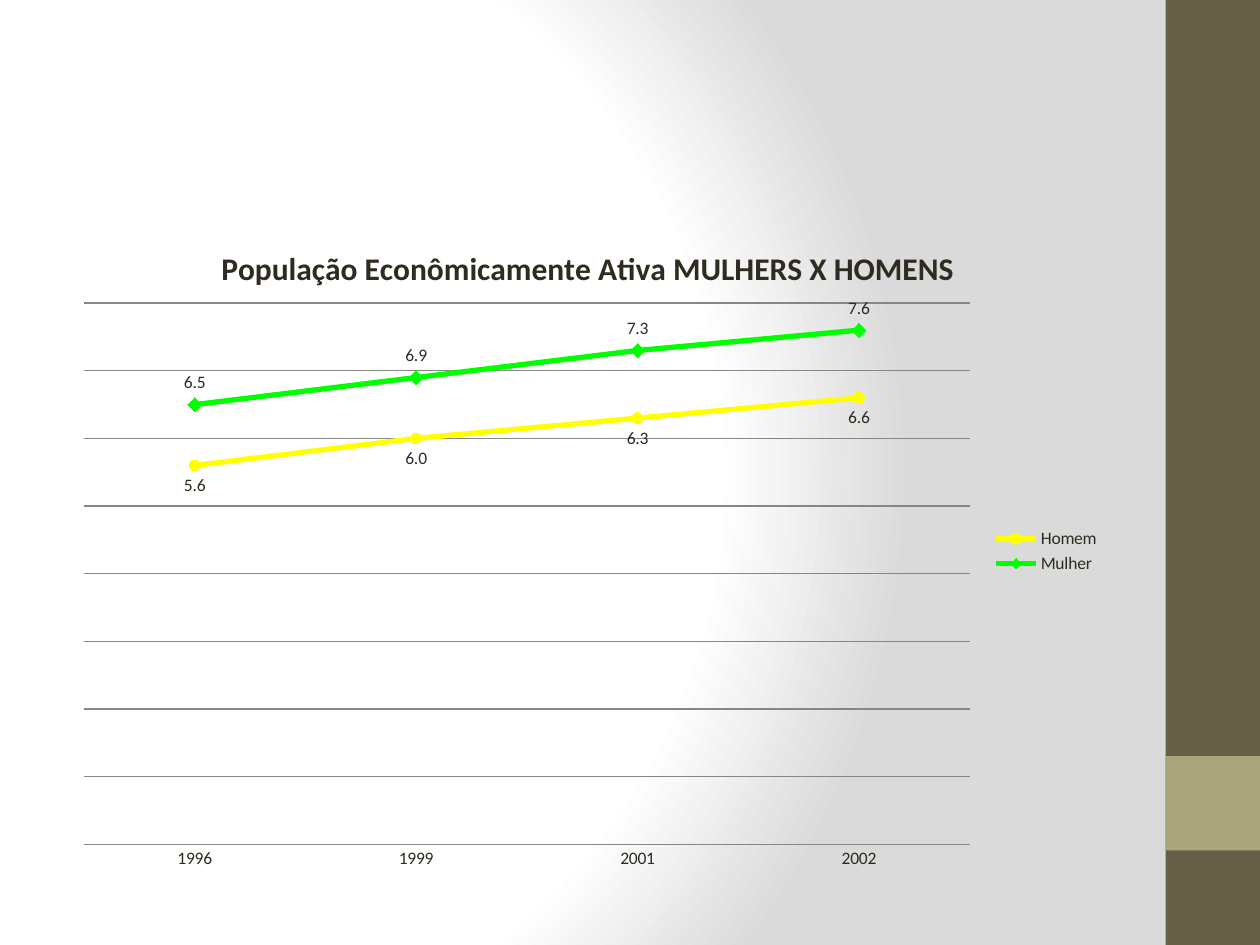
from lxml.etree import SubElement
from pptx import Presentation
from pptx.chart.data import CategoryChartData
from pptx.dml.color import RGBColor
from pptx.enum.chart import XL_CHART_TYPE, XL_LABEL_POSITION, XL_LEGEND_POSITION, XL_MARKER_STYLE, XL_TICK_MARK
from pptx.enum.shapes import MSO_SHAPE
from pptx.oxml.ns import qn
from pptx.util import Inches, Pt


def color(hex_string):
    """Turn a hex string into a colour."""
    return RGBColor.from_string(hex_string)


class SlideBuilder:
    """Hold the style and the current slide."""

    font = "Calibri"
    ink = "2F2B20"
    grid = "868686"

    def __init__(self, slide):
        """Keep the slide to build on."""
        self.slide = slide

    def background(self, stops, focus):
        """Fill the background with a circular gradient."""
        self.slide.background.fill.gradient()
        gradient = next(self.slide._element.iter(qn("a:gradFill")))
        for child in list(gradient):
            gradient.remove(child)
        stop_list = SubElement(gradient, qn("a:gsLst"))
        for percent, hex_string in stops:
            stop = SubElement(stop_list, qn("a:gs"), pos=str(percent * 1000))
            SubElement(stop, qn("a:srgbClr"), val=hex_string)
        circle = SubElement(gradient, qn("a:path"), path="circle")
        edges = {side: str(percent * 1000) for side, percent in zip("ltrb", focus)}
        SubElement(circle, qn("a:fillToRect"), edges)

    def band(self, left, top, width, height, fill):
        """Add a plain rectangle."""
        band = self.slide.shapes.add_shape(
            MSO_SHAPE.RECTANGLE, Inches(left), Inches(top), Inches(width), Inches(height))
        band.shadow.inherit = False
        band.fill.solid()
        band.fill.fore_color.rgb = color(fill)
        band.line.fill.background()

    def style_line(self, line, hex_string, width):
        """Set the colour and width of a line."""
        line.color.rgb = color(hex_string)
        line.width = Pt(width)

    def style_font(self, font, size, bold=False):
        """Apply the slide's type style."""
        font.name = self.font
        font.size = Pt(size)
        font.bold = bold
        font.color.rgb = color(self.ink)

    def style_series(self, series, hex_string, marker, size, position):
        """Format one line with its markers and labels."""
        series.smooth = False
        self.style_line(series.format.line, hex_string, 3)
        series.marker.style = marker
        series.marker.size = size
        series.marker.format.fill.solid()
        series.marker.format.fill.fore_color.rgb = color(hex_string)
        self.style_line(series.marker.format.line, hex_string, 0.75)
        labels = series.data_labels
        labels.show_value = True
        labels.number_format = "0.0"
        labels.number_format_is_linked = False
        labels.position = position
        self.style_font(labels.font, 10)

    def place_plot(self, chart, x, y, w, h):
        """Fix the inner plot area as fractions of the chart."""
        plot_area = chart._chartSpace.chart.plotArea
        for old in plot_area.findall(qn("c:layout")):
            plot_area.remove(old)
        layout = plot_area.makeelement(qn("c:layout"))
        plot_area.insert(0, layout)
        manual = SubElement(layout, qn("c:manualLayout"))
        settings = {"layoutTarget": "inner", "xMode": "edge", "yMode": "edge",
                    "x": x, "y": y, "w": w, "h": h}
        for name, value in settings.items():
            SubElement(manual, qn(f"c:{name}"), val=str(value))

    def line_chart(self, left, top, width, height, title, years, groups):
        """Add a titled line chart with a legend on the right."""
        data = CategoryChartData(number_format="0.0")
        data.categories = years
        for name, values, *_ in groups:
            data.add_series(name, values)
        chart = self.slide.shapes.add_chart(
            XL_CHART_TYPE.LINE_MARKERS, Inches(left), Inches(top),
            Inches(width), Inches(height), data).chart
        self.style_font(chart.font, 10)

        chart.has_title = True
        heading = chart.chart_title.text_frame.paragraphs[0].add_run()
        heading.text = title
        self.style_font(heading.font, 18, bold=True)
        chart.chart_title.include_in_layout = False

        chart.has_legend = True
        chart.legend.position = XL_LEGEND_POSITION.RIGHT
        chart.legend.include_in_layout = False
        self.style_font(chart.legend.font, 10)

        chart.category_axis.major_tick_mark = XL_TICK_MARK.NONE
        self.style_line(chart.category_axis.format.line, self.grid, 0.75)
        scale = chart.value_axis
        scale.minimum_scale, scale.maximum_scale, scale.major_unit = 0, 8, 1
        scale.has_major_gridlines = True
        self.style_line(scale.major_gridlines.format.line, self.grid, 0.75)
        scale.visible = False

        chart.plots[0].vary_by_categories = False
        for series, (_, _, *style) in zip(chart.plots[0].series, groups):
            self.style_series(series, *style)
        self.place_plot(chart, 0.02, 0.125, 0.844, 0.818)


def main():
    """Build the slide and save it."""
    deck = Presentation()
    deck.slide_width, deck.slide_height = Inches(10), Inches(7.5)
    builder = SlideBuilder(deck.slides.add_slide(deck.slide_layouts[6]))
    builder.background([(0, "FFFFFF"), (75, "FFFFFF"), (100, "DADADA")], (20, 50, 100, 50))
    builder.band(9.25, 0, 0.75, 7.5, "675E47")
    builder.band(9.25, 6, 0.75, 0.75, "A9A57C")
    builder.line_chart(
        0.5, 1.75, 8.33, 5.25,
        "População Econômicamente Ativa MULHERS X HOMENS",
        ["1996", "1999", "2001", "2002"],
        [("Homem", (5.6, 6.0, 6.3, 6.6), "FFFF00",
          XL_MARKER_STYLE.CIRCLE, 6, XL_LABEL_POSITION.BELOW),
         ("Mulher", (6.5, 6.9, 7.3, 7.6), "00FF00",
          XL_MARKER_STYLE.DIAMOND, 8, XL_LABEL_POSITION.ABOVE)])
    deck.save("out.pptx")


if __name__ == "__main__":
    main()
